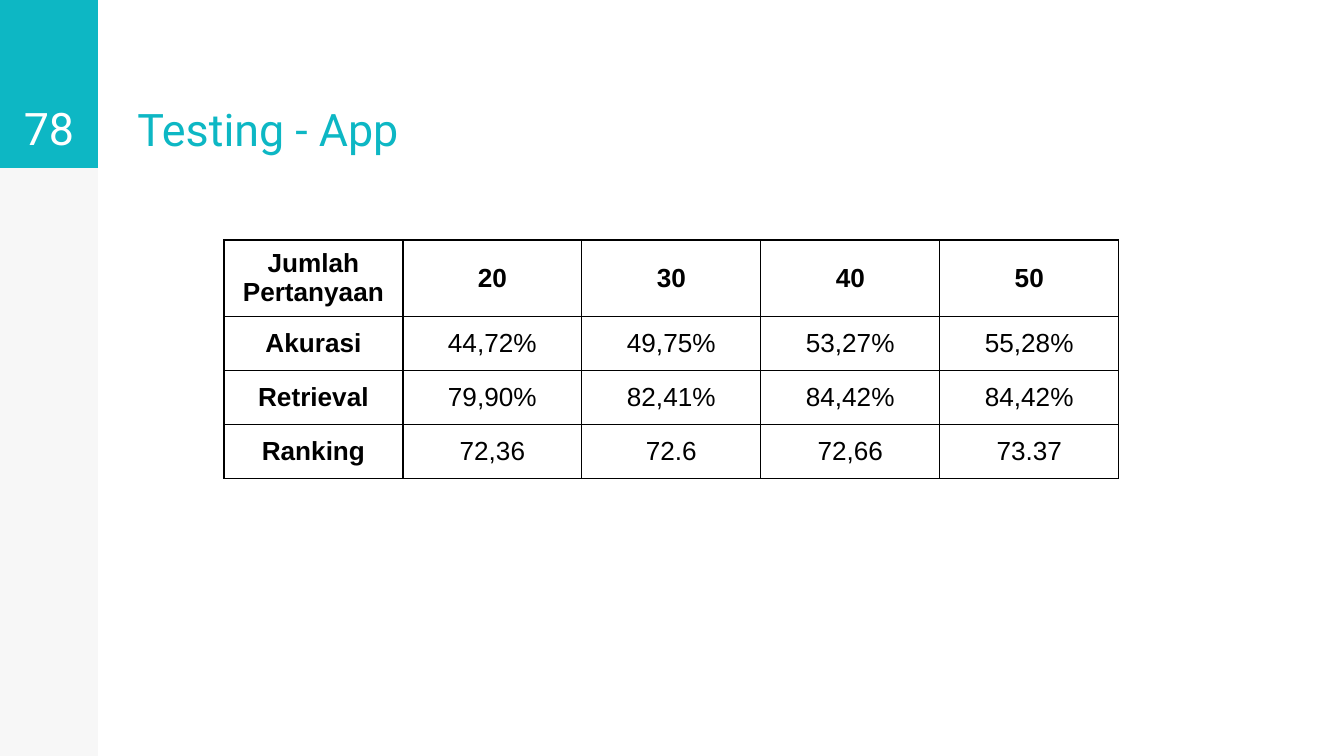
from pptx import Presentation
from pptx.dml.color import RGBColor
from pptx.enum.shapes import MSO_SHAPE
from pptx.enum.text import MSO_ANCHOR, PP_ALIGN
from pptx.oxml.ns import qn
from pptx.util import Emu, Inches, Pt
from lxml.etree import SubElement

# Content
TITLE = "Testing - App"
NUMBER = "78"
ROWS = [
    ("Jumlah Pertanyaan", "20", "30", "40", "50"),
    ("Akurasi", "44,72%", "49,75%", "53,27%", "55,28%"),
    ("Retrieval", "79,90%", "82,41%", "84,42%", "84,42%"),
    ("Ranking", "72,36", "72.6", "72,66", "73.37"),
]
TEAL, WHITE, BLACK = "0DB7C4", "FFFFFF", "000000"

# Layout in px
WIDE, HIGH = 1344, 756
BAR, HEAD = 98, 168
LEFT, TOP, COL = 224, 240, 179
TALL, ROW = 73, 54


def px(n):
    return Emu(round(n * 914400 / 134.4))


def rgb(code):
    return RGBColor.from_string(code)


def write(frame, text, size, font, color, bold=False, align=PP_ALIGN.LEFT):
    para = frame.paragraphs[0]
    para.alignment = align
    run = para.add_run()
    run.text = text
    run.font.size = Pt(size)
    run.font.name = font
    run.font.bold = bold
    run.font.color.rgb = rgb(color)


def heading(frame, text, color, align):
    frame.word_wrap = True
    frame.vertical_anchor = MSO_ANCHOR.BOTTOM
    frame.margin_left = frame.margin_right = Inches(0.1)
    frame.margin_top = frame.margin_bottom = Inches(0.1)
    write(frame, text, 24, "Roboto", color, align=align)


def block(height, color):
    shape = slide.shapes.add_shape(MSO_SHAPE.RECTANGLE, 0, 0, px(BAR), px(height))
    shape.shadow.inherit = False
    shape.fill.solid()
    shape.fill.fore_color.rgb = rgb(color)
    shape.line.fill.background()
    return shape


def border(cell):
    props = cell._tc.get_or_add_tcPr()
    for i, side in enumerate(("a:lnL", "a:lnR", "a:lnT", "a:lnB")):
        line = props.makeelement(qn(side), {"w": str(Pt(0.75))})
        fill = SubElement(line, qn("a:solidFill"))
        SubElement(fill, qn("a:srgbClr"), val=BLACK)
        props.insert(i, line)


deck = Presentation()
deck.slide_width, deck.slide_height = px(WIDE), px(HIGH)
slide = deck.slides.add_slide(deck.slide_layouts[5])

# Side bar: faint grey strip with a teal head
strip = block(HIGH, BLACK)
tint = strip.fill._xPr.find(qn("a:solidFill"))[0]
SubElement(tint, qn("a:alpha"), val="3000")
block(HEAD, TEAL)

# Title and page number
title = slide.shapes.title
title.left, title.top, title.width, title.height = px(124), px(1), px(523), px(HEAD)
heading(title.text_frame, TITLE, TEAL, PP_ALIGN.LEFT)
page = slide.shapes.add_textbox(0, 0, px(BAR), px(HEAD))
heading(page.text_frame, NUMBER, WHITE, PP_ALIGN.CENTER)

# Results table: first row and first column in bold
count = len(ROWS[0])
table = slide.shapes.add_table(
    len(ROWS), count, px(LEFT), px(TOP),
    px(COL * count), px(TALL + ROW * (len(ROWS) - 1))).table
for col in table.columns:
    col.width = px(COL)
for r, row in enumerate(ROWS):
    table.rows[r].height = px(ROW if r else TALL)
    for c, text in enumerate(row):
        cell = table.cell(r, c)
        cell.fill.background()
        cell.vertical_anchor = MSO_ANCHOR.MIDDLE
        write(cell.text_frame, text, 14, "Arial", BLACK,
              r == 0 or c == 0, PP_ALIGN.CENTER)
        border(cell)

deck.save("out.pptx")
